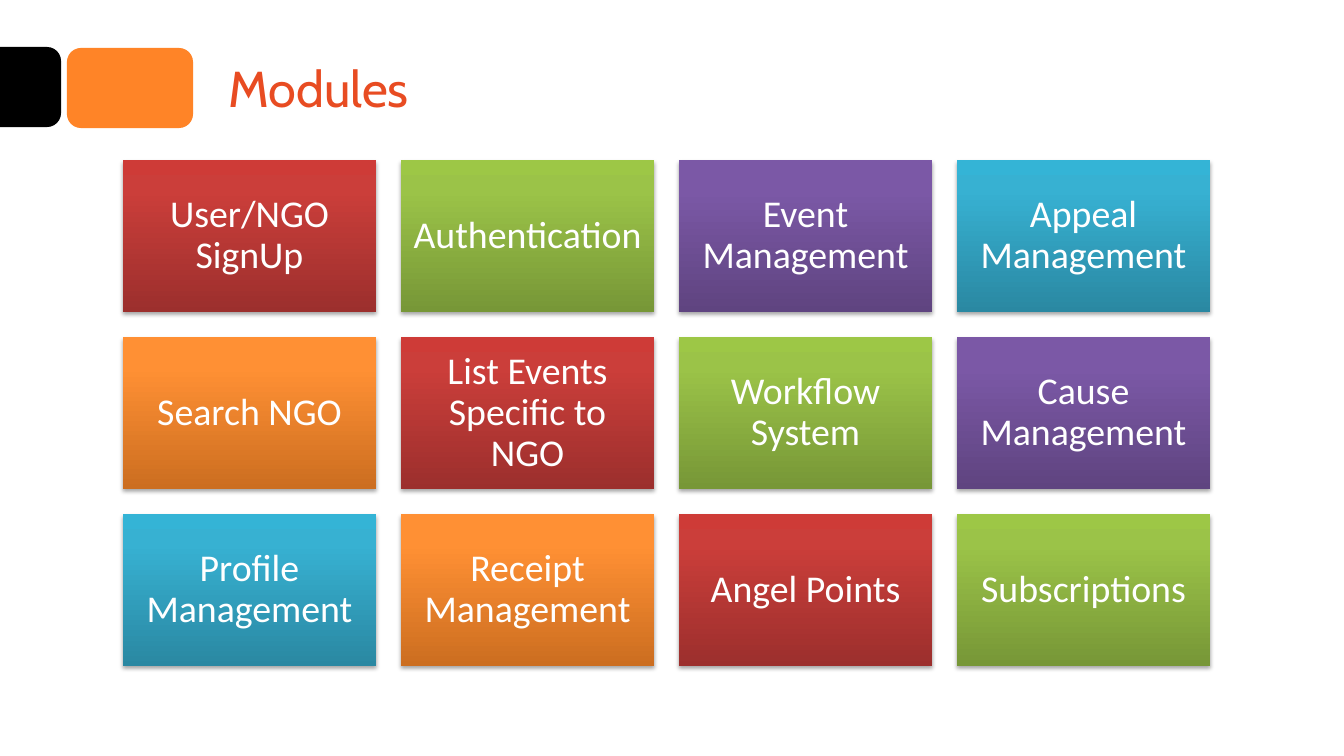
from dataclasses import dataclass

from lxml.etree import SubElement
from pptx import Presentation
from pptx.dml.color import RGBColor
from pptx.enum.shapes import MSO_SHAPE
from pptx.enum.text import MSO_ANCHOR, PP_ALIGN
from pptx.oxml import parse_xml
from pptx.oxml.ns import nsdecls, qn
from pptx.util import Emu, Pt

EMU_PER_PX = 914400 / 100.8


@dataclass(frozen=True)
class Theme:
    title_font: str = "Cabin"
    body_font: str = "Calibri"
    title_size: int = 36
    tile_size: int = 27
    title_color: str = "E84C22"
    tile_text: str = "FFFFFF"
    black: str = "000000"
    orange: str = "FF8427"
    # Bottom, near-top and top colours: red, green, purple, blue, orange
    gradients: tuple = (
        ("9C2F2D", "CB3E3A", "CE3B37"),
        ("779737", "9BC348", "9DC746"),
        ("5F4480", "7B58A6", "7C57A8"),
        ("2A88A2", "37B1D2", "34B4D6"),
        ("CC6E20", "FF9034", "FF9136"),
    )


def px(length):
    return Emu(round(length * EMU_PER_PX))


def write_text(frame, text, *, font, size, color, align, line_spacing=None, inset=None):
    frame.word_wrap = True
    frame.vertical_anchor = MSO_ANCHOR.MIDDLE
    if inset is not None:
        frame.margin_left = frame.margin_right = px(inset)
        frame.margin_top = frame.margin_bottom = px(inset)
    paragraph = frame.paragraphs[0]
    paragraph.alignment = align
    if line_spacing:
        paragraph.line_spacing = line_spacing
    run = paragraph.add_run()
    run.text = text
    run.font.name = font
    run.font.size = Pt(size)
    run.font.color.rgb = RGBColor.from_string(color)
    return paragraph


class SlideBuilder:
    def __init__(self, slide, theme):
        self.slide = slide
        self.theme = theme

    def shape(self, kind, left, top, width, height):
        shape = self.slide.shapes.add_shape(
            kind, px(left), px(top), px(width), px(height))
        shape.shadow.inherit = False
        return shape

    def title(self, text, left, top, width, height):
        title = self.slide.shapes.title
        title.left, title.top = px(left), px(top)
        title.width, title.height = px(width), px(height)
        write_text(title.text_frame, text, font=self.theme.title_font,
                   size=self.theme.title_size, color=self.theme.title_color,
                   align=PP_ALIGN.LEFT)

    def accent_block(self, color, left, top, width, height):
        block = self.shape(MSO_SHAPE.ROUNDED_RECTANGLE, left, top, width, height)
        block.fill.solid()
        block.fill.fore_color.rgb = RGBColor.from_string(color)
        block.line.color.rgb = RGBColor.from_string(color)
        block.line.width = Pt(1.5)

    def tile(self, text, gradient, left, top, width, height):
        tile = self.shape(MSO_SHAPE.RECTANGLE, left, top, width, height)
        tile.line.fill.background()
        properties = tile.element.spPr

        # Three-stop gradient running upwards
        stops = "".join(
            f'<a:gs pos="{position}"><a:srgbClr val="{color}"/></a:gs>'
            for position, color in zip((0, 80000, 100000), gradient))
        properties.find(qn("a:prstGeom")).addnext(parse_xml(
            f'<a:gradFill {nsdecls("a")} rotWithShape="1"><a:gsLst>{stops}</a:gsLst>'
            '<a:lin ang="16200000" scaled="0"/></a:gradFill>'))

        # Soft shadow below the tile
        properties.find(qn("a:effectLst")).append(parse_xml(
            f'<a:outerShdw {nsdecls("a")} blurRad="40000" dist="23000" dir="5400000"'
            ' rotWithShape="0"><a:srgbClr val="000000"><a:alpha val="35000"/>'
            '</a:srgbClr></a:outerShdw>'))

        paragraph = write_text(
            tile.text_frame, text, font=self.theme.body_font,
            size=self.theme.tile_size, color=self.theme.tile_text,
            align=PP_ALIGN.CENTER, line_spacing=0.9, inset=11)

        # Space after as a share of the line
        spacing = SubElement(paragraph._p.get_or_add_pPr(), qn("a:spcAft"))
        SubElement(spacing, qn("a:spcPct"), val="35000")


MODULES = (
    "User/NGO SignUp", "Authentication", "Event Management", "Appeal Management",
    "Search NGO", "List Events Specific to NGO", "Workflow System", "Cause Management",
    "Profile Management", "Receipt Management", "Angel Points", "Subscriptions",
)
COLUMNS = 4
GRID_LEFT, GRID_TOP = 123, 160
TILE_WIDTH, TILE_HEIGHT = 253, 152
GAP = 25


def main():
    presentation = Presentation()
    presentation.slide_width, presentation.slide_height = px(1344), px(756)
    slide = presentation.slides.add_slide(presentation.slide_layouts[5])
    theme = Theme()
    builder = SlideBuilder(slide, theme)

    # Header
    builder.accent_block(theme.black, -64, 48, 124, 78)
    builder.accent_block(theme.orange, 68, 49, 124, 78)
    builder.title("Modules", 218, 48, 948, 78)

    # Module grid, with the gradients taken in turn
    for index, module in enumerate(MODULES):
        row, column = divmod(index, COLUMNS)
        builder.tile(module, theme.gradients[index % len(theme.gradients)],
                     GRID_LEFT + column * (TILE_WIDTH + GAP),
                     GRID_TOP + row * (TILE_HEIGHT + GAP),
                     TILE_WIDTH, TILE_HEIGHT)

    presentation.save("out.pptx")


if __name__ == "__main__":
    main()
